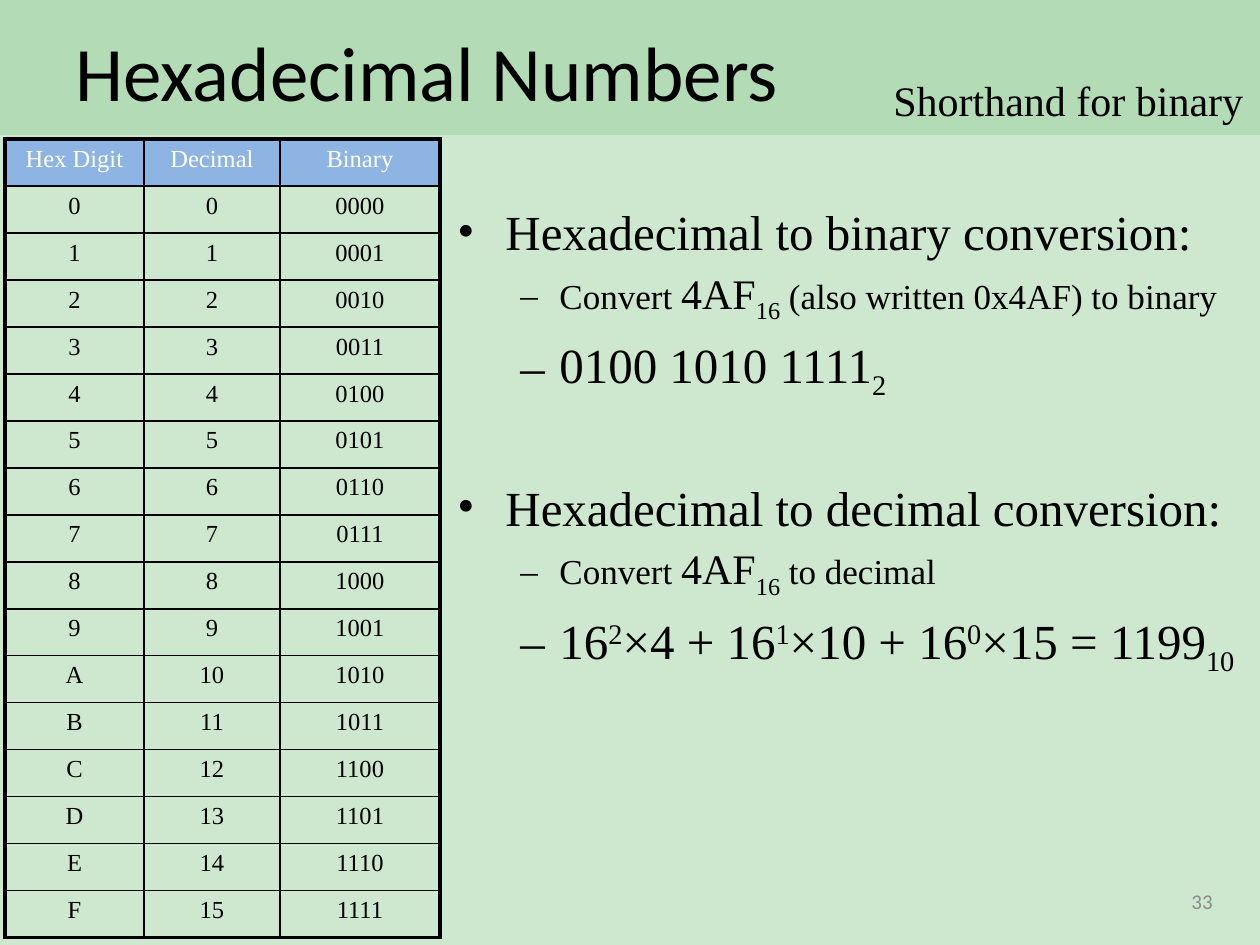
from lxml import etree
from pptx import Presentation
from pptx import util as u
from pptx.dml.color import RGBColor
from pptx.enum import shapes, text
from pptx.oxml import ns

TITLE = "Hexadecimal Numbers"
ASIDE = "Shorthand for binary"
PAGE = "33"
HEADS = ("Hex Digit", "Decimal", "Binary")
ROWS = [HEADS] + [(f"{n:X}", str(n), f"{n:04b}") for n in range(16)]
COLS = (139, 136, 160)

THEME = dict(
    back="CEE8CF", band="B3DBB5", head="8EB4E3", ink="000000",
    pale="FFFFFF", grey="8C8C8C", serif="Times New Roman", sans="Calibri",
    title=44, top=28, mid=24, low=20, cell=14, page=12, thick=2.25, thin=1,
)
TOP, MID, LOW = THEME["top"], THEME["mid"], THEME["low"]
SUB, SUP = -25, 30

POINTS = [
    (0, 0, [("Hexadecimal to binary conversion:", TOP, 0)]),
    (1, 4, [("Convert ", LOW, 0), ("4AF", MID, 0), ("16", MID, SUB),
            (" (also written 0x4AF) to binary", LOW, 0)]),
    (1, 5.6, [("0100 1010 1111", TOP, 0), ("2", TOP, SUB)]),
    (0, 43.4, [("Hexadecimal to decimal conversion:", TOP, 0)]),
    (1, 4, [("Convert ", LOW, 0), ("4AF", MID, 0), ("16", MID, SUB),
            (" to decimal", LOW, 0)]),
    (1, 5.6, [("16", TOP, 0), ("2", TOP, SUP), ("×4 + 16", TOP, 0),
              ("1", TOP, SUP), ("×10 + 16", TOP, 0), ("0", TOP, SUP),
              ("×15 = 1199", TOP, 0), ("10", TOP, SUB)]),
]
BULLETS = (("•", 48, -48), ("–", 102, -39))


def px(n):
    return u.Emu(round(n * 914400 / 126))


def hue(name):
    return RGBColor.from_string(THEME[name])


def paint(shape, name):
    shape.fill.solid()
    shape.fill.fore_color.rgb = hue(name)


def write(para, words, size, font="serif", color="ink", align="LEFT", base=0):
    para.alignment = getattr(text.PP_ALIGN, align)
    run = para.add_run()
    run.text = words
    run.font.size = u.Pt(size)
    run.font.name = THEME[font]
    run.font.color.rgb = hue(color)
    if base:
        run._r.get_or_add_rPr().set("baseline", str(base * 1000))


def frame(slide, box, wrap=True, anchor="TOP"):
    body = slide.shapes.add_textbox(*map(px, box)).text_frame
    body.word_wrap = wrap
    body.vertical_anchor = getattr(text.MSO_ANCHOR, anchor)
    return body


def edge(cell, sides):
    props = cell._tc.get_or_add_tcPr()
    for i, (side, bold) in enumerate(sides):
        width = THEME["thick" if bold else "thin"]
        line = etree.Element(ns.qn("a:ln" + side), w=str(u.Pt(width)))
        fill = etree.SubElement(line, ns.qn("a:solidFill"))
        etree.SubElement(fill, ns.qn("a:srgbClr"), val=THEME["ink"])
        props.insert(i, line)


def header(slide):
    band = slide.shapes.add_shape(
        shapes.MSO_SHAPE.RECTANGLE, 0, 0, px(1260), px(135))
    band.shadow.inherit = False
    paint(band, "band")
    band.line.fill.background()
    slide.shapes._spTree.insert(2, band._element)
    title = slide.shapes.title
    title.left, title.top, title.width, title.height = map(
        px, (63, 16, 1134, 110))
    title.text_frame.auto_size = text.MSO_AUTO_SIZE.NONE
    title.text_frame.vertical_anchor = text.MSO_ANCHOR.MIDDLE
    write(title.text_frame.paragraphs[0], TITLE, THEME["title"], font="sans")


def digits(slide):
    last, end = len(ROWS) - 1, len(COLS) - 1
    table = slide.shapes.add_table(
        len(ROWS), len(COLS), px(5), px(139),
        px(sum(COLS)), px(47 * len(ROWS))).table
    table.first_row = table.horz_banding = False
    for col, wide in zip(table.columns, COLS):
        col.width = px(wide)
    for r, row in enumerate(ROWS):
        table.rows[r].height = px(47)
        for c, words in enumerate(row):
            cell = table.cell(r, c)
            if r == 0:
                paint(cell, "head")
            else:
                cell.fill.background()
            edge(cell, (("L", c == 0), ("R", c == end),
                        ("T", r == 0), ("B", r == last)))
            write(cell.text_frame.paragraphs[0], words, THEME["cell"],
                  color="ink" if r else "pale", align="CENTER")


def points(slide):
    body = frame(slide, (445, 195, 815, 486))
    for i, (level, gap, runs) in enumerate(POINTS):
        para = body.add_paragraph() if i else body.paragraphs[0]
        mark, left, hang = BULLETS[level]
        props = para._p.get_or_add_pPr()
        props.set("marL", str(px(left)))
        props.set("indent", str(px(hang)))
        etree.SubElement(props, ns.qn("a:buFont"), typeface=THEME["serif"])
        etree.SubElement(props, ns.qn("a:buChar"), char=mark)
        para.level = level
        para.space_before = u.Pt(gap)
        for words, size, base in runs:
            write(para, words, size, base=base)


def main():
    deck = Presentation()
    deck.slide_width, deck.slide_height = px(1260), px(945)
    slide = deck.slides.add_slide(deck.slide_layouts[5])
    paint(slide.background, "back")
    header(slide)
    page = frame(slide, (931, 876, 294, 50), anchor="MIDDLE")
    write(page.paragraphs[0], PAGE, THEME["page"], font="sans",
          color="grey", align="RIGHT")
    digits(slide)
    aside = frame(slide, (881, 68, 379, 63), wrap=False)
    write(aside.paragraphs[0], ASIDE, MID)
    points(slide)
    deck.save("out.pptx")


if __name__ == "__main__":
    main()
